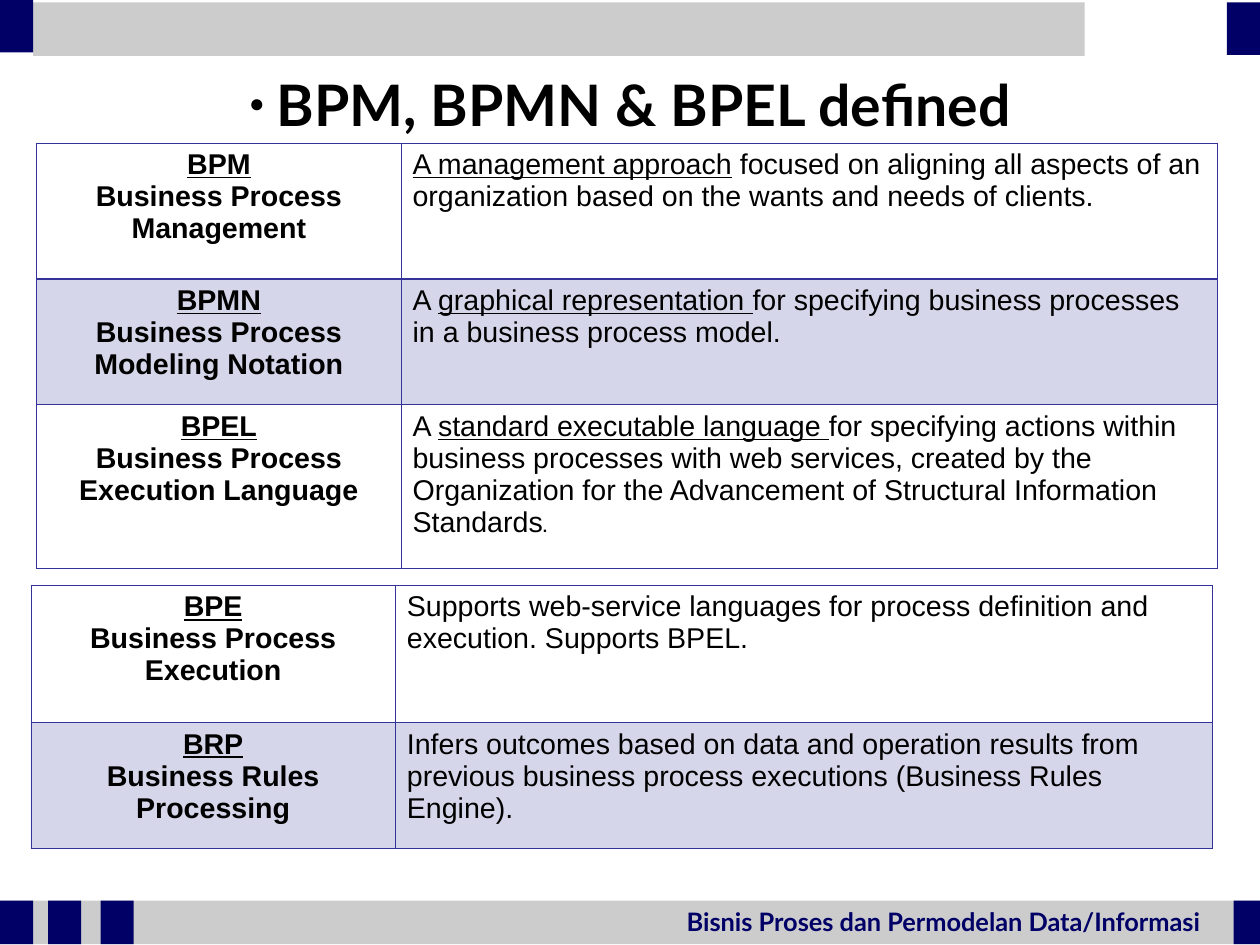
from lxml import etree
from pptx import Presentation
from pptx.dml.color import RGBColor
from pptx.enum.shapes import MSO_SHAPE
from pptx.enum.text import MSO_ANCHOR, PP_ALIGN
from pptx.oxml.ns import qn
from pptx.util import Cm, Inches, Pt

RECT = MSO_SHAPE.RECTANGLE
CENTER, LEFT = PP_ALIGN.CENTER, PP_ALIGN.LEFT
TOP, MIDDLE = MSO_ANCHOR.TOP, MSO_ANCHOR.MIDDLE

TITLE = "BPM, BPMN & BPEL defined"
FOOTER = "Bisnis Proses dan Permodelan Data/Informasi"
UNDERLINED = {"underline": True}
SMALL_STOP = {"size": 10, "bold": True}

# Each row: acronym, full name, definition as (text, format) runs
STANDARDS = [
    ("BPM", "Business Process Management", [
        ("A management approach", UNDERLINED),
        (" focused on aligning all aspects of an organization based on "
         "the wants and needs of clients.", {})]),
    ("BPMN", "Business Process Modeling Notation", [
        ("A ", {}),
        ("graphical representation ", UNDERLINED),
        ("for specifying business processes in a business process model.", {})]),
    ("BPEL", "Business Process Execution Language", [
        ("A ", {}),
        ("standard executable language ", UNDERLINED),
        ("for specifying actions within business processes with web services, "
         "created by the Organization for the Advancement of Structural "
         "Information Standards", {}),
        (".", SMALL_STOP)]),
]
ENGINES = [
    ("BPE", "Business Process Execution", [
        ("Supports web-service languages for process definition and execution. "
         "Supports BPEL.", {})]),
    ("BRP", "Business Rules Processing", [
        ("Infers outcomes based on data and operation results from previous "
         "business process executions (Business Rules Engine).", {})]),
]

COLORS = {"navy": "000066", "grey": "CCCCCC", "violet": "333399", "black": "000000"}
PAGE_W, PAGE_H = Cm(28), Cm(21)
SLIDE_W = PAGE_W.inches
BLOCK_W, HEADER_H, FOOTER_H = 0.29, 0.46, 0.38
FOOTER_TOP = 7.88
BARS = [  # colour, left, top, width, height
    ("grey", 0, FOOTER_TOP, SLIDE_W, FOOTER_H),
    ("navy", SLIDE_W - 0.23, FOOTER_TOP, 0.23, FOOTER_H),
    *[("navy", left, FOOTER_TOP, BLOCK_W, FOOTER_H) for left in (0, 0.42, 0.88)],
    ("grey", BLOCK_W, 0.02, 9.2, 0.47),
    ("navy", SLIDE_W - BLOCK_W, 0.02, BLOCK_W, HEADER_H),
    ("navy", 0, 0, BLOCK_W, HEADER_H),
]
TABLES = [  # rows, left, top, column widths, row heights
    (STANDARDS, 0.32, 1.25, (3.19, 7.14), (1.19, 1.1, 1.43)),
    (ENGINES, 0.27, 5.12, (3.19, 7.15), (1.2, 1.1)),
]
THIN, THICK = 0.45, 0.96


def add_run(paragraph, text, size=18, font="Arial", color="black",
            bold=False, underline=False):
    run = paragraph.add_run()
    run.text = text
    run.font.size = Pt(size)
    run.font.name = font
    run.font.bold = bold
    run.font.underline = underline
    run.font.color.rgb = RGBColor.from_string(COLORS[color])


def add_label(slide, text, box, align=LEFT, anchor=TOP, **font):
    frame = slide.shapes.add_textbox(*map(Inches, box)).text_frame
    frame.word_wrap = True
    frame.vertical_anchor = anchor
    paragraph = frame.paragraphs[0]
    paragraph.alignment = align
    add_run(paragraph, text, **font)
    return paragraph


def add_bullet(paragraph):
    props = paragraph._p.get_or_add_pPr()
    props.set("marL", str(Inches(0.24)))
    props.set("indent", str(-Inches(0.24)))
    color = etree.SubElement(props, qn("a:buClr"))
    etree.SubElement(color, qn("a:srgbClr"), val=COLORS["black"])
    etree.SubElement(props, qn("a:buSzPct"), val="45000")
    etree.SubElement(props, qn("a:buFont"), typeface="Arial")
    etree.SubElement(props, qn("a:buChar"), char="●")


def add_bar(slide, color, *box):
    bar = slide.shapes.add_shape(RECT, *map(Inches, box))
    bar.shadow.inherit = False
    bar.fill.solid()
    bar.fill.fore_color.rgb = RGBColor.from_string(COLORS[color])
    bar.line.fill.background()


def add_solid_fill(parent, alpha=None):
    fill = etree.SubElement(parent, qn("a:solidFill"))
    color = etree.SubElement(fill, qn("a:srgbClr"), val=COLORS["violet"])
    if alpha:
        etree.SubElement(color, qn("a:alpha"), val=str(alpha * 1000))


def style_cell(cell, row):
    """Draw violet borders, heavier under the first row, and shade odd rows."""
    props = cell._tc.get_or_add_tcPr()
    widths = {"lnL": THIN, "lnR": THIN,
              "lnT": THICK if row == 1 else THIN,
              "lnB": THICK if row == 0 else THIN}
    for side, width in widths.items():
        add_solid_fill(etree.SubElement(props, qn("a:" + side), w=str(Pt(width))))
    if row % 2:
        add_solid_fill(props, alpha=20)
    else:
        cell.fill.background()


def add_definitions(slide, entries, left, top, widths, heights):
    box = map(Inches, (left, top, sum(widths), sum(heights)))
    table = slide.shapes.add_table(len(entries), len(widths), *box).table
    table.first_row = table.horz_banding = False
    for column, width in zip(table.columns, widths):
        column.width = Inches(width)
    for index, (acronym, name, definition) in enumerate(entries):
        table.rows[index].height = Inches(heights[index])
        term, meaning = table.cell(index, 0), table.cell(index, 1)
        style_cell(term, index)
        style_cell(meaning, index)
        heading = term.text_frame.paragraphs[0]
        full_name = term.text_frame.add_paragraph()
        heading.alignment = full_name.alignment = CENTER
        add_run(heading, acronym, bold=True, underline=True)
        add_run(full_name, name, bold=True)
        for text, style in definition:
            add_run(meaning.text_frame.paragraphs[0], text, **style)


def main():
    deck = Presentation()
    deck.slide_width, deck.slide_height = PAGE_W, PAGE_H
    slide = deck.slides.add_slide(deck.slide_layouts[6])
    for bar in BARS:
        add_bar(slide, *bar)
    add_label(slide, FOOTER, (5.91, FOOTER_TOP, 4.72, 0.36),
              size=16, font="Lato", color="navy", bold=True)
    title = add_label(slide, TITLE, (0, 0.36, SLIDE_W, 1.1), align=CENTER,
                      anchor=MIDDLE, size=36, font="Lato", bold=True)
    add_bullet(title)
    for table in TABLES:
        add_definitions(slide, *table)
    deck.save("out.pptx")


if __name__ == "__main__":
    main()
